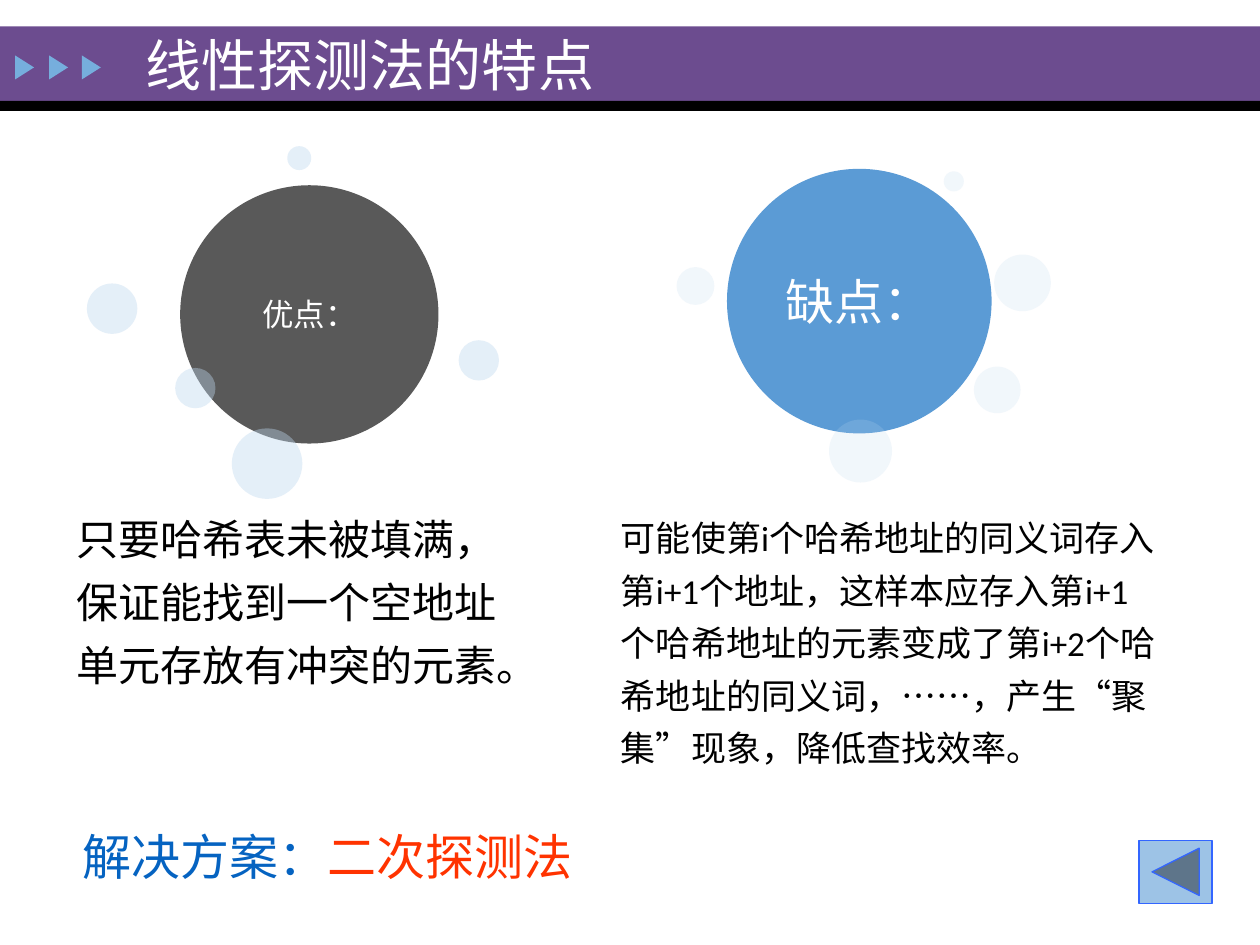
from typing import NamedTuple

from lxml import etree
from pptx import Presentation
from pptx.dml.color import RGBColor
from pptx.enum.shapes import MSO_SHAPE
from pptx.enum.text import MSO_ANCHOR, PP_ALIGN
from pptx.oxml.ns import qn
from pptx.util import Inches, Pt

RECT = MSO_SHAPE.RECTANGLE
OVAL = MSO_SHAPE.OVAL
ARROW = MSO_SHAPE.ISOSCELES_TRIANGLE
BUTTON = MSO_SHAPE.ACTION_BUTTON_FORWARD_OR_NEXT
TOP, MIDDLE = MSO_ANCHOR.TOP, MSO_ANCHOR.MIDDLE
LEFT, CENTER = PP_ALIGN.LEFT, PP_ALIGN.CENTER

FONT = "Calibri"
WHITE, BLACK = "FFFFFF", "000000"
PURPLE, SKY, PALE = "6C4C8F", "76AEDD", "BDD7EE"
BLUE, RED = "0563C1", "FF3300"


class Dot(NamedTuple):
    left: float
    top: float
    size: float


class Bubble(NamedTuple):
    label: str
    size: int
    fill: str
    main: Dot
    alpha: int
    dots: list[Dot]


class Note(NamedTuple):
    box: tuple[float, float, float, float]
    text: str
    size: int


BUBBLES = [
    Bubble("缺点：", 28, "5B9BD5", Dot(5.77, 1.34, 2.1), 20, [
        Dot(5.37, 2.12, 0.3), Dot(6.58, 3.33, 0.5), Dot(7.49, 1.36, 0.16),
        Dot(7.73, 2.91, 0.37), Dot(7.89, 2.02, 0.45)]),
    Bubble("优点：", 18, "595959", Dot(1.43, 1.47, 2.05), 40, [
        Dot(3.64, 2.7, 0.32), Dot(1.39, 2.92, 0.32), Dot(1.84, 3.4, 0.56),
        Dot(2.28, 1.16, 0.19), Dot(0.69, 2.25, 0.4)]),
]
NOTES = [
    Note((0.51, 3.93, 3.61, 1.61),
         "只要哈希表未被填满，保证能找到一个空地址单元存放有冲突的元素。", 24),
    Note((4.83, 3.97, 4.5, 2.2),
         "可能使第i个哈希地址的同义词存入第i+1个地址，"
         "这样本应存入第i+1个哈希地址的元素变成了第i+2个哈希地址的同义词，"
         "……，产生“聚集”现象，降低查找效率。", 20),
]


def paint(target, color: str) -> None:
    target.rgb = RGBColor.from_string(color)


def draw(slide, kind, left: float, top: float, width: float, height: float,
         color: str, alpha: int = 100):
    shape = slide.shapes.add_shape(
        kind, Inches(left), Inches(top), Inches(width), Inches(height))
    shape.shadow.inherit = False
    shape.fill.solid()
    paint(shape.fill.fore_color, color)
    shape.line.fill.background()
    if alpha < 100:
        tint = shape.element.spPr.find(".//" + qn("a:srgbClr"))
        etree.SubElement(tint, qn("a:alpha"), val=str(alpha * 1000))
    return shape


def write(shape, *parts: tuple[str, str], size: int, anchor=TOP, align=LEFT,
          wrap: bool = True, space: float = 1.0) -> None:
    frame = shape.text_frame
    frame.word_wrap = wrap
    frame.vertical_anchor = anchor
    para = frame.paragraphs[0]
    para.alignment = align
    para.line_spacing = space
    for text, color in parts:
        run = para.add_run()
        run.text = text
        run.font.name = FONT
        run.font.size = Pt(size)
        paint(run.font.color, color)


def add_box(slide, left: float, top: float, width: float, height: float):
    return slide.shapes.add_textbox(
        Inches(left), Inches(top), Inches(width), Inches(height))


def add_bubble(slide, item: Bubble) -> None:
    left, top, size = item.main
    disc = draw(slide, OVAL, left, top, size, size, item.fill)
    frame = disc.text_frame
    frame.margin_left = frame.margin_right = Inches(0)
    frame.margin_top = frame.margin_bottom = Inches(0)
    write(disc, (item.label, WHITE), size=item.size, anchor=MIDDLE,
          align=CENTER, wrap=False)
    for dot in item.dots:
        draw(slide, OVAL, dot.left, dot.top, dot.size, dot.size, PALE, item.alpha)


def add_header(slide) -> None:
    draw(slide, RECT, 0, 0.21, 10, 0.59, PURPLE)
    draw(slide, RECT, 0, 0.8, 10, 0.08, BLACK)
    for left in (0.1, 0.37, 0.63):
        draw(slide, ARROW, left, 0.46, 0.19, 0.15, SKY).rotation = 90
    title = add_box(slide, 1.06, 0.23, 4.4, 0.56)
    write(title, ("线性探测法的特点", WHITE), size=32, anchor=MIDDLE)


def add_button(slide) -> None:
    button = draw(slide, BUTTON, 9.04, 6.67, 0.58, 0.5, "9DC3E6")
    button.element.spPr.find(qn("a:xfrm")).set("flipH", "1")
    button.line.fill.solid()
    paint(button.line.color, "3366FF")
    button.line.width = Pt(0.75)


def main() -> None:
    deck = Presentation()
    deck.slide_width, deck.slide_height = Inches(10), Inches(7.5)
    slide = deck.slides.add_slide(deck.slide_layouts[6])
    add_header(slide)
    answer = add_box(slide, 0.56, 6.51, 4.81, 0.57)
    write(answer, ("解决方案：", BLUE), ("二次探测法", RED), size=28)
    add_button(slide)
    for note in NOTES:
        write(add_box(slide, *note.box), (note.text, BLACK),
              size=note.size, space=1.25)
    for item in BUBBLES:
        add_bubble(slide, item)
    deck.save("out.pptx")


if __name__ == "__main__":
    main()
